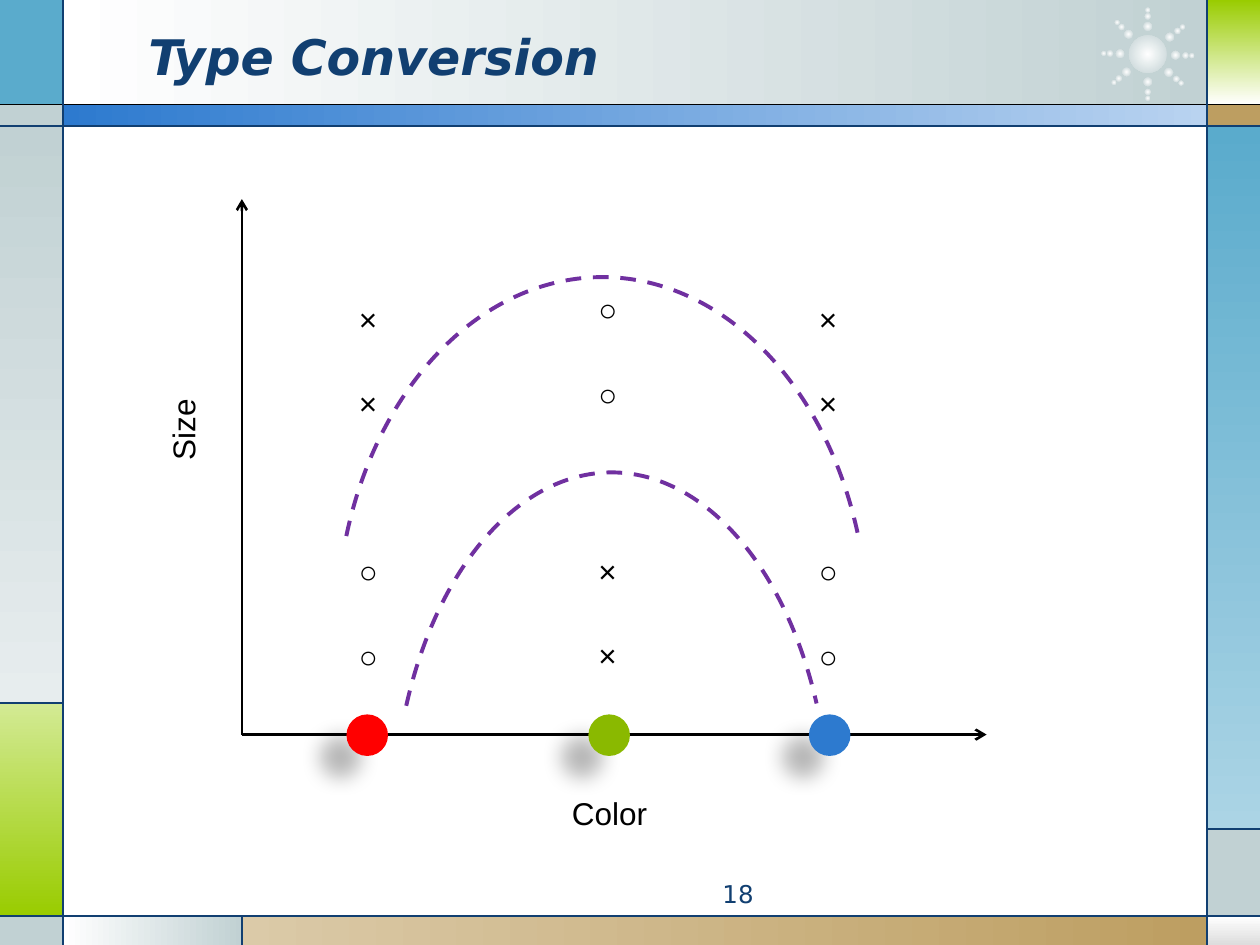
import math
from collections import namedtuple

from pptx import Presentation
from pptx import util as u
from pptx.dml import color, fill
from pptx.enum import dml, shapes, text
from pptx.oxml import ns, parse_xml

Box = namedtuple("Box", "left top width height")
COLORS = {
    "white": "FFFFFF", "black": "000000", "navy": "113F71", "silver": "C1D1D3",
    "mist": "E7EDEE", "teal": "5AABCC", "pale_teal": "ABD4E5", "lime": "99CC00",
    "pale_lime": "D3EA94", "tan": "BD9E61", "pale_tan": "DBCAA8", "haze": "DDDDDD",
    "blue": "2D7ACF", "pale_blue": "B9D3F0", "red": "FF0000", "green": "8AB900",
    "purple": "7030A0",
}
DRAWING_NS = ns.nsdecls("a")


def rgb(name):
    return color.RGBColor.from_string(COLORS[name])


def inches(*values):
    return [u.Inches(value) for value in values]


def add_filled(slide, kind, box, *names, angle=0, radial=False):
    """Add a shape without outline: one colour is solid, two make a gradient."""
    shape = slide.shapes.add_shape(kind, *inches(*box))
    shape.shadow.inherit = False
    shape.line.fill.background()
    if len(names) == 1:
        shape.fill.solid()
        shape.fill.fore_color.rgb = rgb(names[0])
        return shape
    shape.fill.gradient()
    for stop, name in zip(shape.fill.gradient_stops, names):
        stop.color.rgb = rgb(name)
    if radial:
        gradient = shape._element.spPr.find(ns.qn("a:gradFill"))
        gradient.replace(gradient.find(ns.qn("a:lin")), parse_xml(
            f'<a:path {DRAWING_NS} path="circle">'
            '<a:fillToRect l="50000" t="50000" r="50000" b="50000"/></a:path>'))
    else:
        shape.fill.gradient_angle = -angle % 360
    return shape


def add_line(slide, start, end, name="navy", width=0.75, arrow=False):
    line = slide.shapes.add_connector(
        shapes.MSO_CONNECTOR.STRAIGHT, *inches(*start, *end))
    line.line.color.rgb = rgb(name)
    line.line.width = u.Pt(width)
    if arrow:
        line.line._get_or_add_ln().append(
            parse_xml(f'<a:tailEnd {DRAWING_NS} type="arrow"/>'))
    line._element.spPr.append(parse_xml(f"<a:effectLst {DRAWING_NS}/>"))


def add_text(slide, box, words, size=18, font="Arial", name="black", bold=False,
             italic=False, align=None, anchor=text.MSO_ANCHOR.TOP, wrap=False):
    shape = slide.shapes.add_textbox(*inches(*box))
    frame = shape.text_frame
    frame.word_wrap = wrap
    frame.vertical_anchor = anchor
    if not wrap:
        frame.auto_size = text.MSO_AUTO_SIZE.SHAPE_TO_FIT_TEXT
    paragraph = frame.paragraphs[0]
    paragraph.alignment = align
    run = paragraph.add_run()
    run.text = words
    run.font.name, run.font.size = font, u.Pt(size)
    run.font.bold, run.font.italic = bold, italic
    run.font.color.rgb = rgb(name)
    return shape


def add_frame(slide, box):
    """Draw the coloured border panels and the lines between them."""
    left, top, width, height = box
    right, bottom = left + width, top + height
    inner_left, inner_right = left + 0.5, right - 0.42
    header, band, footer = top + 0.83, top + 1, bottom - 0.23
    left_split, right_split, foot_split = top + 5.58, top + 6.58, left + 1.92
    panels = [  # left, top, right, bottom, colours, gradient angle
        (inner_left, top, inner_right, header, ("white", "silver"), 0),
        (left, top, inner_left, header, ("teal",), 0),
        (left, header, inner_left, band, ("silver",), 0),
        (left, band, inner_left, left_split, ("silver", "mist"), 90),
        (left, left_split, inner_left, footer, ("pale_lime", "lime"), 90),
        (left, footer, inner_left, bottom, ("silver",), 0),
        (inner_left, footer, foot_split, bottom, ("white", "silver"), 0),
        (foot_split, footer, inner_right, bottom, ("pale_tan", "tan"), 0),
        (inner_right, footer, right, bottom, ("white", "haze"), 90),
        (inner_right, right_split, right, footer, ("silver",), 0),
        (inner_right, band, right, right_split, ("teal", "pale_teal"), 90),
        (inner_right, header, right, band, ("tan",), 0),
        (inner_right, top, right, header, ("lime", "white"), 90),
        (inner_left, header, inner_right, band, ("blue", "pale_blue"), 0),
    ]
    for x1, y1, x2, y2, names, angle in panels:
        add_filled(slide, shapes.MSO_SHAPE.RECTANGLE,
                   Box(x1, y1, x2 - x1, y2 - y1), *names, angle=angle)
    for y, name in ((header, "black"), (band, "navy"), (footer, "navy")):
        add_line(slide, (left, y), (right, y), name)
    for x in (inner_left, inner_right):
        add_line(slide, (x, top), (x, bottom))
    add_line(slide, (left, left_split), (inner_left, left_split))
    add_line(slide, (foot_split, footer), (foot_split, bottom))
    add_line(slide, (inner_right, right_split), (right, right_split))


def add_sunburst(slide, box):
    """Draw a central disc with eight rays of three shrinking dots."""
    center_x, center_y = box.left + box.width / 2, box.top + box.height / 2

    def add_dot(x, y, size):
        add_filled(slide, shapes.MSO_SHAPE.OVAL,
                   Box(x - size / 2, y - size / 2, size, size),
                   "white", "silver", radial=True)

    add_dot(center_x, center_y, 0.3)
    for degrees in (2, 41, 90, 140, 181, 226, 270, 322):
        angle = math.radians(degrees)
        for radius, size in ((0.22, 0.07), (0.3, 0.05), (0.35, 0.04)):
            add_dot(center_x + radius * math.cos(angle),
                    center_y + radius * math.sin(angle), size)


def add_shadow(shape):
    shape._element.spPr.find(ns.qn("a:effectLst")).append(parse_xml(
        f'<a:outerShdw {DRAWING_NS} blurRad="{u.Pt(11.8)}" dist="{u.Pt(19.7)}" '
        f'dir="{141 * 60000}" algn="ctr" rotWithShape="0"><a:srgbClr val="000000">'
        '<a:alpha val="28000"/></a:srgbClr></a:outerShdw>'))


def add_arc(slide, box, start, end):
    """Draw a dashed arc between two angles in degrees."""
    arc = slide.shapes.add_shape(shapes.MSO_SHAPE.ARC, *inches(*box))
    arc.shadow.inherit = False
    arc.fill.background()
    arc.adjustments[0], arc.adjustments[1] = start * 0.6, end * 0.6
    arc.line.color.rgb = rgb("purple")
    arc.line.width = u.Pt(2.25)
    arc.line.dash_style = dml.MSO_LINE.DASH


def add_scatter(slide, box):
    """Draw size against colour, with marks and the two class boundaries."""
    left, top, width, height = box
    origin = (left + 0.67, top + 4.25)
    add_line(slide, origin, (left + width, origin[1]), "black", 1.5, arrow=True)
    add_line(slide, origin, (origin[0], top), "black", 1.5, arrow=True)

    for x, name in ((1.5, "red"), (3.42, "green"), (5.17, "blue")):
        disc = Box(left + x, origin[1] - 0.16, 0.33, 0.33)
        add_shadow(add_filled(slide, shapes.MSO_SHAPE.OVAL, disc, name))

    size_label = add_text(slide, Box(left, top + 1.58, 0.5, 0.59), "Size")
    size_label.rotation = 180
    size_label.text_frame._txBody.bodyPr.set("vert", "eaVert")

    outer_rows, middle_rows = (0.75, 1.42, 2.75, 3.43), (0.67, 1.35, 2.75, 3.42)
    columns = ((1.5, outer_rows, "××○○"), (5.15, outer_rows, "××○○"),
               (3.4, middle_rows, "○○××"))
    for x, rows, marks in columns:
        for y, mark in zip(rows, marks):
            add_text(slide, Box(left + x, top + y, 0.35, 0.4), mark)
    add_text(slide, Box(left + 3.19, top + height - 0.4, 0.81, 0.4), "Color")

    add_arc(slide, Box(left + 1.42, top + 0.62, 4.22, 5.63), 200.51, 338.78)
    add_arc(slide, Box(left + 1.87, top + 2.17, 3.47, 5.63), 210.56, 328.89)


def main():
    presentation = Presentation()
    presentation.slide_width, presentation.slide_height = inches(10, 7.5)
    slide = presentation.slides.add_slide(presentation.slide_layouts[6])
    add_frame(slide, Box(0, 0, 10, 7.5))
    add_sunburst(slide, Box(8.74, 0.06, 0.74, 0.74))
    add_text(slide, Box(1.08, 0.13, 7.33, 0.62), "Type Conversion", size=28,
             font="DejaVu Sans", name="navy", bold=True, italic=True,
             anchor=text.MSO_ANCHOR.MIDDLE, wrap=True)
    add_text(slide, Box(3.75, 6.93, 2.33, 0.27), "18", size=14, font="DejaVu Sans",
             name="navy", align=text.PP_ALIGN.RIGHT, wrap=True)
    add_scatter(slide, Box(1.25, 1.58, 6.58, 5.07))
    presentation.save("out.pptx")


if __name__ == "__main__":
    main()
